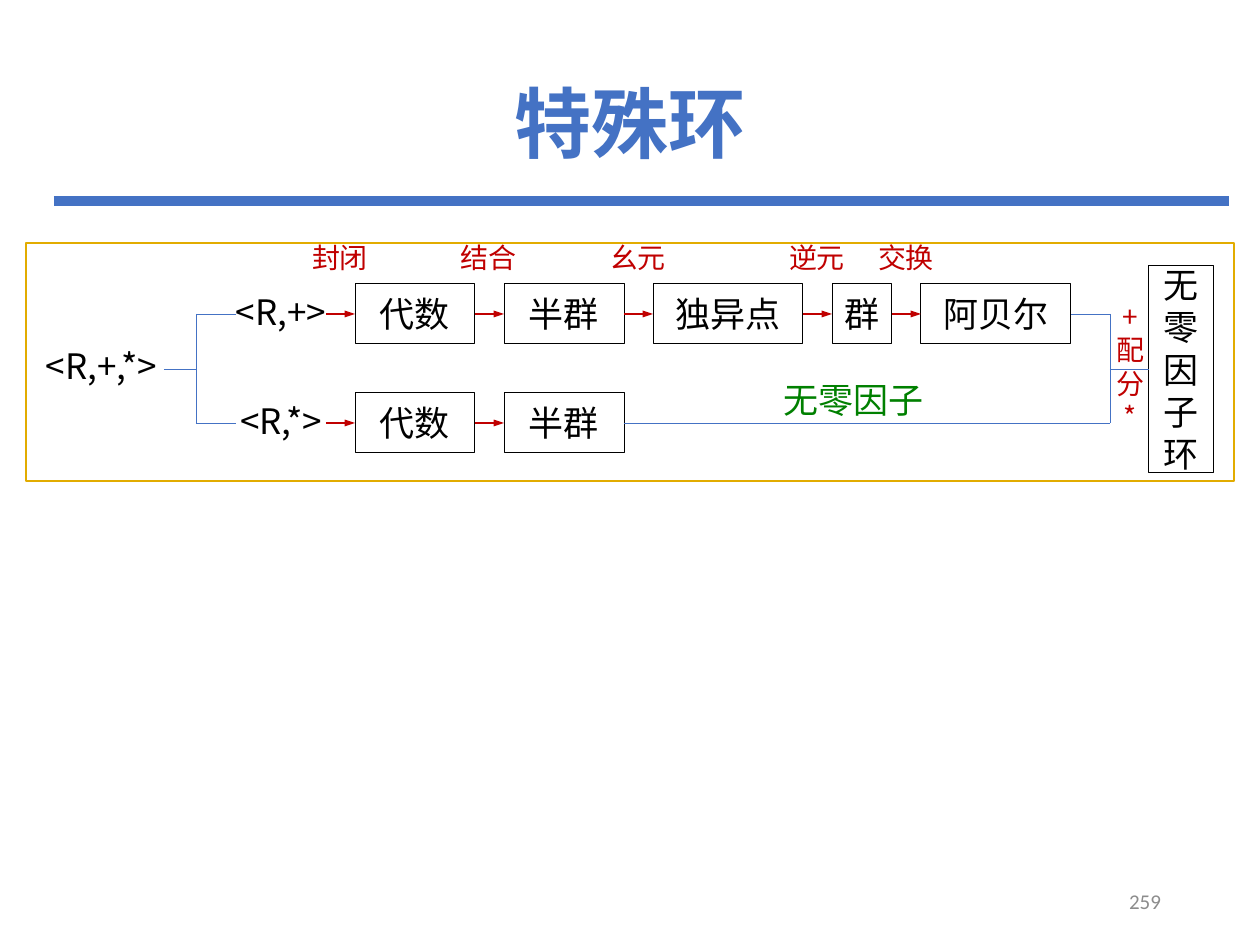
from dataclasses import dataclass
from itertools import pairwise

from lxml.etree import SubElement
from pptx import Presentation
from pptx.dml.color import RGBColor
from pptx.enum.shapes import MSO_CONNECTOR, MSO_SHAPE
from pptx.enum.text import MSO_ANCHOR, PP_ALIGN
from pptx.oxml.ns import qn
from pptx.util import Emu, Pt

EMU_PER_PX = 914400 / 126
BLUE, RED, GREEN, BLACK, GOLD, GRAY = "4472C4", "C00000", "008000", "000000", "E2AC00", "8C8C8C"
SC, JP = "Noto Sans CJK SC", "Noto Sans CJK JP"
BOX_HEIGHT, GAP = 60, 29
CHAIN_LEFT, ARROW_START = 355, 326
UPPER, LOWER, MIDDLE = 314, 423, 369
FORK, MERGE = 196, 1110


@dataclass(frozen=True)
class Area:
    left: int
    top: int
    width: int
    height: int


@dataclass(frozen=True)
class Style:
    size: int = 20
    color: str = BLACK
    font: str = SC
    bold: bool = False
    align: PP_ALIGN = PP_ALIGN.CENTER
    spacing: object = None
    inset: int = 0


@dataclass(frozen=True)
class Step:
    name: str
    width: int
    law: str = ""


def px(length: int) -> Emu:
    return Emu(round(length * EMU_PER_PX))


def rgb(color: str) -> RGBColor:
    return RGBColor.from_string(color)


def place(area: Area) -> list:
    return [px(n) for n in (area.left, area.top, area.width, area.height)]


def write(holder, text: str, style: Style) -> None:
    frame = holder.text_frame
    frame_format = {
        "word_wrap": True,
        "vertical_anchor": MSO_ANCHOR.MIDDLE,
        "margin_left": px(style.inset),
        "margin_right": px(style.inset),
        "margin_top": 0,
        "margin_bottom": 0,
    }
    for name, value in frame_format.items():
        setattr(frame, name, value)
    paragraph = frame.paragraphs[0]
    paragraph.alignment = style.align
    paragraph.line_spacing = style.spacing
    run = paragraph.add_run()
    run.text = text
    font_format = {"size": Pt(style.size), "bold": style.bold, "name": style.font}
    for name, value in font_format.items():
        setattr(run.font, name, value)
    run.font.color.rgb = rgb(style.color)
    SubElement(run.font._element, qn("a:ea"), typeface=style.font)


def label(slide, area: Area, text: str, style: Style) -> None:
    write(slide.shapes.add_textbox(*place(area)), text, style)


def outline(slide, area: Area, color: str, weight: float):
    rect = slide.shapes.add_shape(MSO_SHAPE.RECTANGLE, *place(area))
    rect.shadow.inherit = False
    rect.fill.background()
    rect.line.color.rgb = rgb(color)
    rect.line.width = Pt(weight)
    return rect


def box(slide, area: Area, text: str, style: Style):
    rect = outline(slide, area, BLACK, 0.5)
    write(rect, text, style)
    return rect


def line(slide, start: tuple, end: tuple, color: str = BLUE, weight: float = 0.5,
         source=None, target=None, arrow: bool = False) -> None:
    link = slide.shapes.add_connector(MSO_CONNECTOR.STRAIGHT, *map(px, start + end))
    link.line.color.rgb = rgb(color)
    link.line.width = Pt(weight)
    if arrow:
        SubElement(link.line._get_or_add_ln(), qn("a:tailEnd"), type="triangle", w="sm", len="med")
    SubElement(link._element.spPr, qn("a:effectLst"))
    if source is not None:
        link.begin_connect(source, 3)
    if target is not None:
        link.end_connect(target, 1)


def chain(slide, steps: list[Step], axis: int):
    left, previous = CHAIN_LEFT, None
    for step in steps:
        area = Area(left, axis - BOX_HEIGHT // 2, step.width, BOX_HEIGHT)
        current = box(slide, area, step.name, Style())
        line(slide, (left - GAP, axis), (left, axis), RED, 1, previous, current, arrow=True)
        if step.law:
            label(slide, Area(left - 60, 233, 90, 49), step.law, Style(16, RED))
        left += step.width + GAP
        previous = current
    return previous


def main() -> None:
    deck = Presentation()
    deck.slide_width, deck.slide_height = px(1260), px(945)
    slide = deck.slides.add_slide(deck.slide_layouts[6])

    line(slide, (54, 201), (1229, 201), BLUE, 6)
    label(slide, Area(87, 50, 1086, 156), "特殊环", Style(44, BLUE, bold=True, spacing=0.9))
    label(slide, Area(890, 876, 283, 50), "259",
          Style(12, GRAY, "Calibri", align=PP_ALIGN.RIGHT, inset=12))

    label(slide, Area(27, 336, 149, 60), "<R,+,*>", Style())
    label(slide, Area(222, 281, 118, 60), "<R,+>", Style())
    label(slide, Area(222, 391, 118, 60), "<R,*>", Style())

    fork_points = [(236, UPPER), (FORK, UPPER), (FORK, LOWER), (236, LOWER)]
    for start, end in pairwise(fork_points):
        line(slide, start, end)
    line(slide, (164, MIDDLE), (FORK, MIDDLE))

    abelian = chain(slide, [
        Step("代数", 120, "封闭"),
        Step("半群", 120, "结合"),
        Step("独异点", 150, "幺元"),
        Step("群", 60, "逆元"),
        Step("阿贝尔", 150, "交换"),
    ], UPPER)
    semigroup = chain(slide, [Step("代数", 120), Step("半群", 120)], LOWER)

    domain = box(slide, Area(1149, 265, 65, 208), "无零因子环", Style(font=JP, spacing=Pt(24)))
    label(slide, Area(1106, 302, 49, 129), "+配分*", Style(16, RED, spacing=Pt(19), inset=9))
    line(slide, (1071, UPPER), (MERGE, UPPER), source=abelian)
    line(slide, (624, LOWER), (MERGE, LOWER), source=semigroup)
    line(slide, (MERGE, UPPER), (MERGE, LOWER))
    line(slide, (MERGE, MIDDLE), (1149, MIDDLE), target=domain)
    label(slide, Area(767, 372, 174, 55), "无零因子", Style(color=GREEN))
    outline(slide, Area(26, 243, 1208, 238), GOLD, 1)

    deck.save("out.pptx")


if __name__ == "__main__":
    main()
